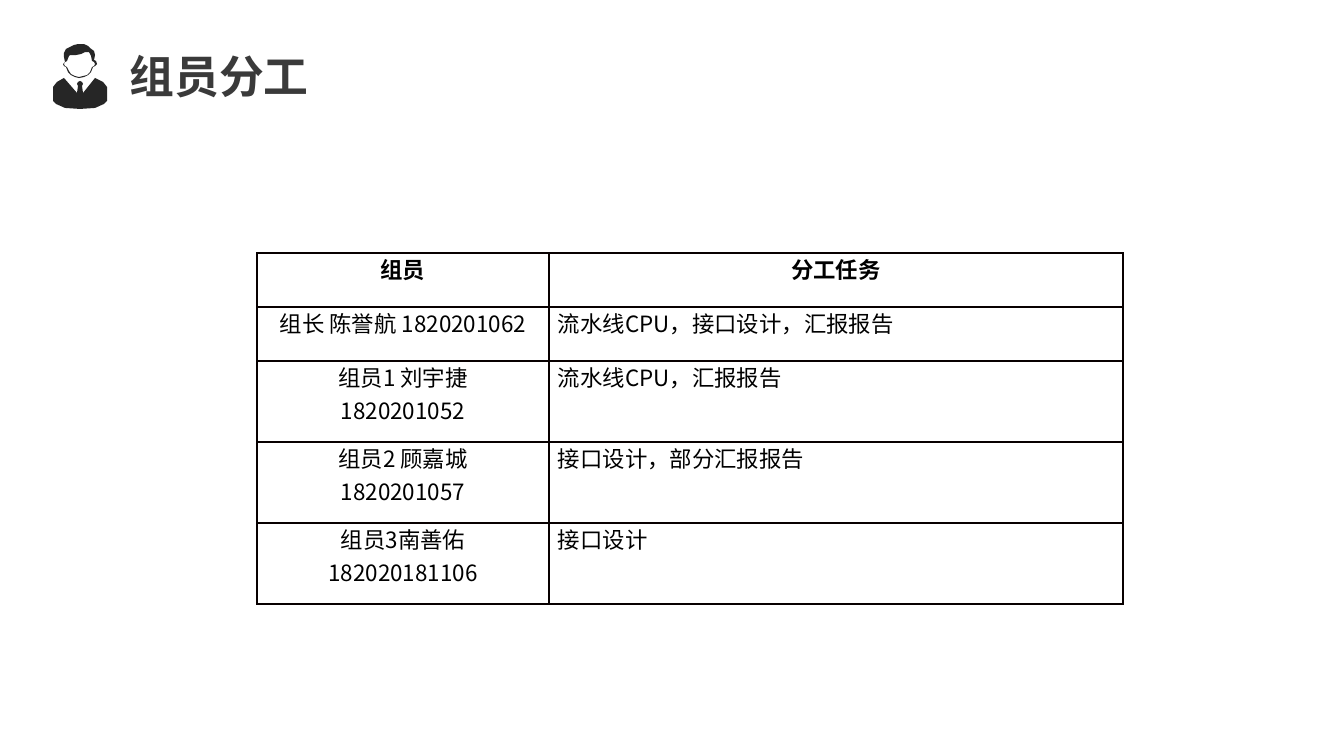
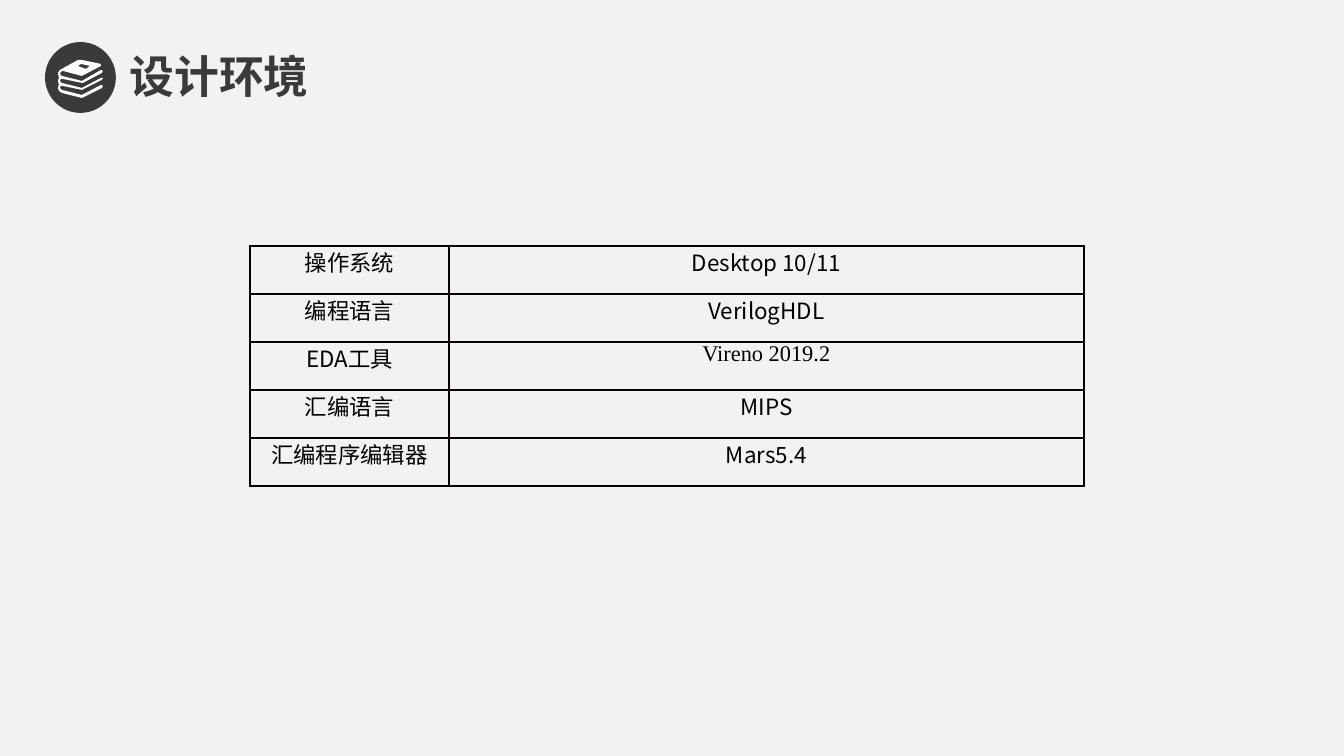
from lxml import etree
from pptx import Presentation
from pptx.dml.color import RGBColor
from pptx.enum.shapes import MSO_SHAPE as Shape
from pptx.enum.text import MSO_ANCHOR as Anchor, MSO_AUTO_SIZE as AutoSize, PP_ALIGN as Align
from pptx.oxml.ns import qn
from pptx.util import Pt

PX = 914400 / 134.4
DARK, INK, BLACK, BORDER = "3A3A3A", "262626", "000000", "080000"
WHITE, PALE = "FFFFFF", "F2F2F2"
TITLE_FONT, BODY_FONT, SERIF_FONT = "Arial", "Noto Sans CJK SC", "Times New Roman"

HEAD = [(63, 64), (64, 66), (66, 67), (68, 72), (71, 75), (75, 77), (79, 78), (84, 77),
        (88, 75), (91, 72), (93, 67), (95, 66), (97, 64), (96, 61), (94, 60), (95, 55),
        (94, 51), (90, 48), (88, 46), (84, 44), (78, 44), (74, 45), (70, 47), (66, 49),
        (64, 53), (64, 57), (65, 62)]
FACE = [(64, 64), (65, 62), (67, 61), (69, 56), (70, 55), (76, 55), (81, 54), (85, 52),
        (89, 52), (91, 56), (92, 61), (94, 62), (95, 64), (94, 66), (92, 67), (90, 72),
        (87, 75), (83, 76), (79, 77), (75, 76), (71, 74), (69, 71), (67, 67), (65, 66)]
SUIT = [(53, 87), (57, 82), (64, 78), (77, 93), (78, 86), (77, 84), (78, 82), (80, 81),
        (82, 82), (83, 84), (82, 86), (83, 93), (95, 78), (103, 82), (107, 87), (107, 101),
        (104, 104), (95, 108), (80, 109), (65, 108), (56, 104), (53, 101)]
BOOKS = [(82, 90), (102, 80), (103, 78), (101, 78), (82, 88), (62, 83), (60, 81), (61, 79),
         (63, 79), (82, 83), (83, 83), (102, 73), (103, 71), (101, 70), (82, 81), (62, 76),
         (60, 74), (61, 72), (63, 71), (82, 76), (101, 66), (101, 64), (82, 60), (78, 60),
         (60, 70), (58, 73), (59, 78), (58, 81), (59, 85), (58, 88), (59, 91), (62, 93),
         (82, 98), (84, 97), (102, 88), (103, 86), (101, 85), (82, 95), (62, 90), (60, 88),
         (61, 86), (63, 86)]
BOOK_LABEL = [(81, 64), (90, 66), (86, 69), (78, 66)]

MEMBERS = [
    ("组员", "分工任务"),
    ("组长 陈誉航 1820201062", "流水线CPU，接口设计，汇报报告"),
    ("组员1 刘宇捷\n1820201052", "流水线CPU，汇报报告"),
    ("组员2 顾嘉城\n1820201057", "接口设计，部分汇报报告"),
    ("组员3南善佑\n182020181106", "接口设计"),
]
TOOL_VERSION = "Vireno 2019.2"
ENVIRONMENT = [
    ("操作系统", "Desktop 10/11"),
    ("编程语言", "VerilogHDL"),
    ("EDA工具", TOOL_VERSION),
    ("汇编语言", "MIPS"),
    ("汇编程序编辑器", "Mars5.4"),
]


def px(length):
    return round(length * PX)


def color(value):
    return RGBColor.from_string(value)


def add_span(para, text, font, size, ink, bold=False):
    span = para.add_run()
    span.text = text
    span.font.name, span.font.size, span.font.bold = font, Pt(size), bold
    span.font.color.rgb = color(ink)
    if font == BODY_FONT:
        east_asian = etree.SubElement(span.font._element, qn("a:ea"))
        east_asian.set("typeface", font)


def add_page(deck, title, background):
    page = deck.slides.add_slide(deck.slide_layouts[5])
    page.background.fill.solid()
    page.background.fill.fore_color.rgb = color(background)
    box = page.shapes.title
    box.left, box.top, box.width, box.height = px(116), px(42), px(253), px(67)
    frame = box.text_frame
    frame.word_wrap = False
    frame.auto_size = AutoSize.SHAPE_TO_FIT_TEXT
    frame.vertical_anchor = Anchor.MIDDLE
    para = frame.paragraphs[0]
    para.alignment = Align.LEFT
    add_span(para, title, TITLE_FONT, 24, DARK, bold=True)
    return page


def paint(shape, fill):
    shape.shadow.inherit = False
    shape.fill.solid()
    shape.fill.fore_color.rgb = color(fill)
    shape.line.fill.background()


def add_outline(page, fill, *contours):
    """Draw one freeform; a contour inside another cuts a hole."""
    first, *holes = contours
    builder = page.shapes.build_freeform(*first[0], scale=PX)
    builder.add_line_segments(first[1:])
    for hole in holes:
        builder.move_to(*hole[0])
        builder.add_line_segments(hole[1:])
    paint(builder.convert_to_shape(), fill)


def add_disc(page, left, top, size, fill):
    disc = page.shapes.add_shape(Shape.OVAL, px(left), px(top), px(size), px(size))
    paint(disc, fill)
    disc.line.color.rgb = color(fill)
    disc.line.width = Pt(1)


def set_borders(cell):
    properties = cell._tc.get_or_add_tcPr()
    for index, side in enumerate(("lnL", "lnR", "lnT", "lnB")):
        line = etree.Element(qn(f"a:{side}"), w=str(Pt(1)))
        fill = etree.SubElement(line, qn("a:solidFill"))
        etree.SubElement(fill, qn("a:srgbClr"), val=BORDER)
        properties.insert(index, line)


def fill_cell(cell, text, align, font, bold):
    cell.margin_left = cell.margin_right = px(9)
    cell.margin_top = cell.margin_bottom = 0
    cell.fill.background()
    set_borders(cell)
    para = cell.text_frame.paragraphs[0]
    para.alignment = align
    for number, line in enumerate(text.split("\n")):
        if number:
            para.add_line_break()
        add_span(para, line, font, 12, BLACK, bold)


def add_grid(page, left, top, widths, heights, rows, header=False, task_align=Align.CENTER):
    frame = page.shapes.add_table(len(rows), len(widths), px(left), px(top),
                                  px(sum(widths)), px(sum(heights)))
    table = frame.table
    table.first_row = table.horz_banding = False
    for column, width in zip(table.columns, widths):
        column.width = px(width)
    for number, (row, height, texts) in enumerate(zip(table.rows, heights, rows)):
        row.height = px(height)
        is_header = header and number == 0
        aligns = (Align.CENTER, Align.CENTER if is_header else task_align)
        for cell, text, align in zip(row.cells, texts, aligns):
            font = SERIF_FONT if text == TOOL_VERSION else BODY_FONT
            fill_cell(cell, text, align, font, is_header)


def add_members_page(deck):
    page = add_page(deck, "组员分工", WHITE)
    add_outline(page, INK, HEAD, FACE)
    add_outline(page, INK, SUIT)
    heights = [81 if "\n" in member else 54 for member, task in MEMBERS]
    add_grid(page, 257, 253, (292, 574), heights, MEMBERS, header=True, task_align=Align.LEFT)


def add_environment_page(deck):
    page = add_page(deck, "设计环境", PALE)
    add_disc(page, 46, 43, 69, DARK)
    add_outline(page, WHITE, BOOKS, BOOK_LABEL)
    add_grid(page, 250, 246, (199, 635), [48] * len(ENVIRONMENT), ENVIRONMENT)


def main():
    deck = Presentation()
    deck.slide_width, deck.slide_height = px(1344), px(756)
    add_members_page(deck)
    add_environment_page(deck)
    deck.save("out.pptx")


if __name__ == "__main__":
    main()
